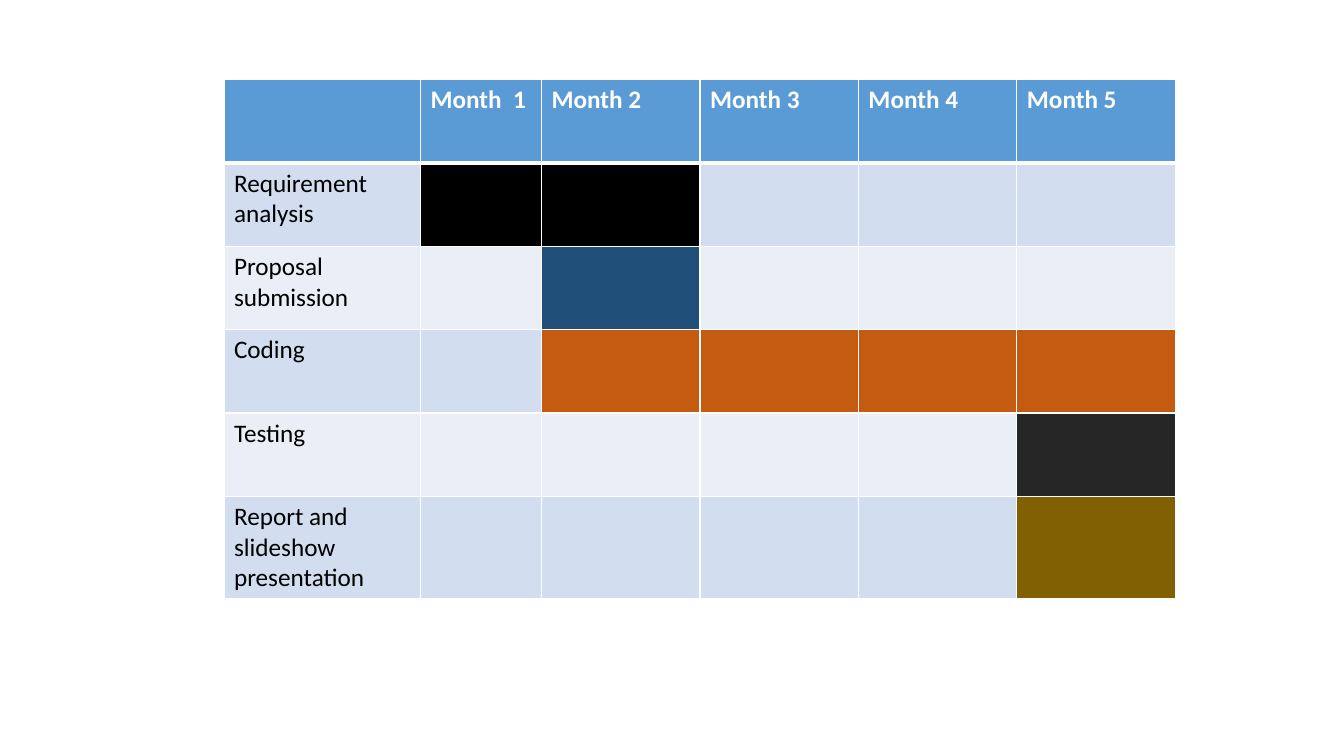
from dataclasses import dataclass

from lxml.etree import SubElement
from pptx import Presentation
from pptx.dml.color import RGBColor
from pptx.oxml.ns import qn
from pptx.util import Pt


@dataclass(frozen=True)
class Theme:
    font: str = "Calibri"
    text_size: int = 18
    white: str = "FFFFFF"
    black: str = "000000"
    header: str = "5B9BD5"
    bands: tuple = ("D2DEEF", "EAEFF7")
    blue: str = "1F4E79"
    orange: str = "C55A11"
    charcoal: str = "262626"
    olive: str = "806000"
    thin_line: int = 1
    header_line: int = 3


THEME = Theme()
MONTHS = ["Month  1", "Month 2", "Month 3", "Month 4", "Month 5"]
TASKS = [
    ("Requirement analysis", 1, 2, THEME.black),
    ("Proposal submission", 2, 2, THEME.blue),
    ("Coding", 2, 5, THEME.orange),
    ("Testing", 5, 5, THEME.charcoal),
    ("Report and slideshow presentation", 5, 5, THEME.olive),
]
LEFT, TOP = 160, 57
COLUMN_WIDTHS = [140.4, 86.4] + [113.2] * 4
ROW_HEIGHT = 59.5


def write_text(cell, text, color=THEME.black, bold=False):
    run = cell.text_frame.paragraphs[0].add_run()
    run.text = text
    run.font.name = THEME.font
    run.font.size = Pt(THEME.text_size)
    run.font.bold = bold
    run.font.color.rgb = RGBColor.from_string(color)


def add_border(cell, side, width):
    properties = cell._tc.get_or_add_tcPr()
    line = SubElement(properties, qn(f"a:ln{side}"), w=str(Pt(width)))
    fill = SubElement(line, qn("a:solidFill"))
    SubElement(fill, qn("a:srgbClr"), val=THEME.white)


def style_cell(cell, color, top=THEME.thin_line, bottom=THEME.thin_line):
    widths = {"L": THEME.thin_line, "R": THEME.thin_line, "T": top, "B": bottom}
    for side, width in widths.items():
        add_border(cell, side, width)
    cell.fill.solid()
    cell.fill.fore_color.rgb = RGBColor.from_string(color)


def add_schedule_table(slide):
    row_count = len(TASKS) + 1
    frame = slide.shapes.add_table(
        row_count, len(COLUMN_WIDTHS), Pt(LEFT), Pt(TOP),
        Pt(sum(COLUMN_WIDTHS)), Pt(ROW_HEIGHT * row_count),
    )
    table = frame.table
    for column, width in zip(table.columns, COLUMN_WIDTHS):
        column.width = Pt(width)
    for row in table.rows:
        row.height = Pt(ROW_HEIGHT)
    return table


def fill_header(table):
    for column in range(len(COLUMN_WIDTHS)):
        style_cell(table.cell(0, column), THEME.header, bottom=THEME.header_line)
    for column, month in enumerate(MONTHS, start=1):
        write_text(table.cell(0, column), month, color=THEME.white, bold=True)


def fill_task(table, row, name, first_month, last_month, color):
    band = THEME.bands[(row - 1) % len(THEME.bands)]
    top = THEME.header_line if row == 1 else THEME.thin_line
    for column in range(len(COLUMN_WIDTHS)):
        active = first_month <= column <= last_month
        style_cell(table.cell(row, column), color if active else band, top=top)
    write_text(table.cell(row, 0), name)


def main():
    presentation = Presentation()
    presentation.slide_width = Pt(960)
    presentation.slide_height = Pt(540)
    slide = presentation.slides.add_slide(presentation.slide_layouts[6])
    table = add_schedule_table(slide)
    fill_header(table)
    for row, task in enumerate(TASKS, start=1):
        fill_task(table, row, *task)
    presentation.save("out.pptx")


if __name__ == "__main__":
    main()
